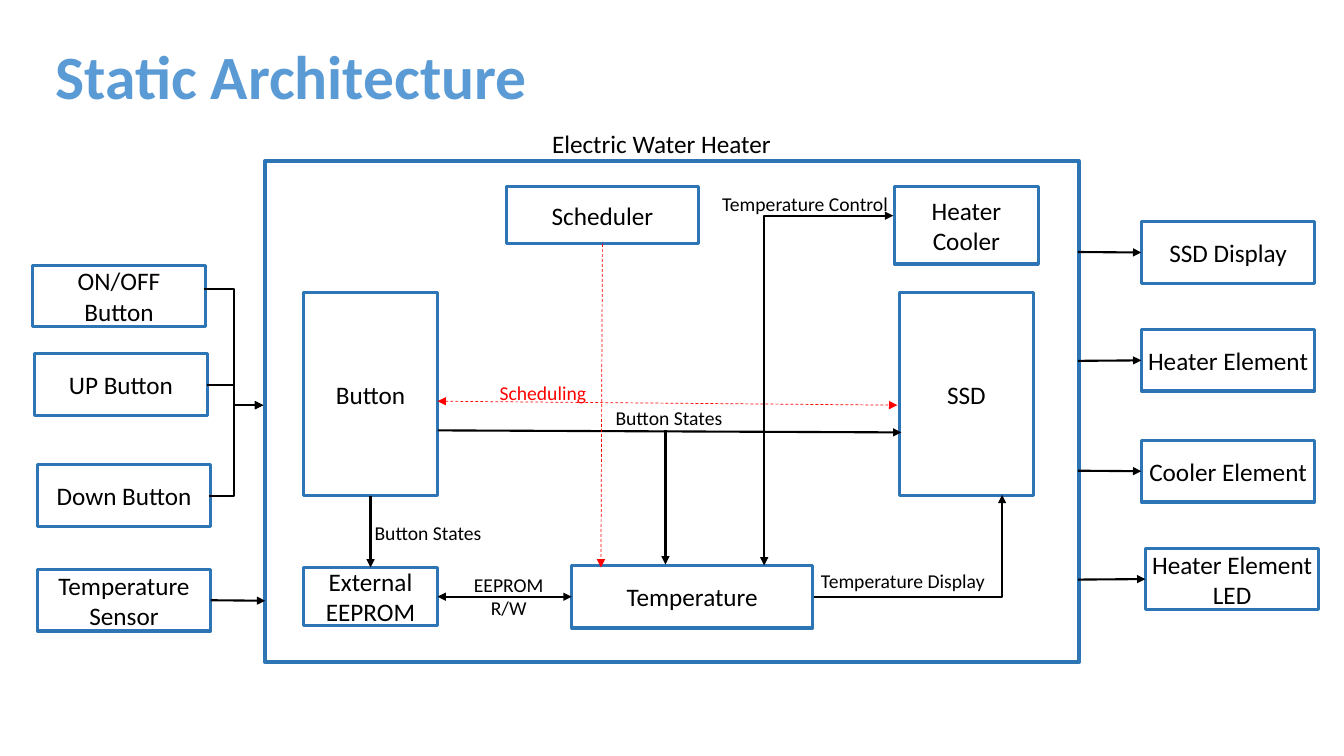
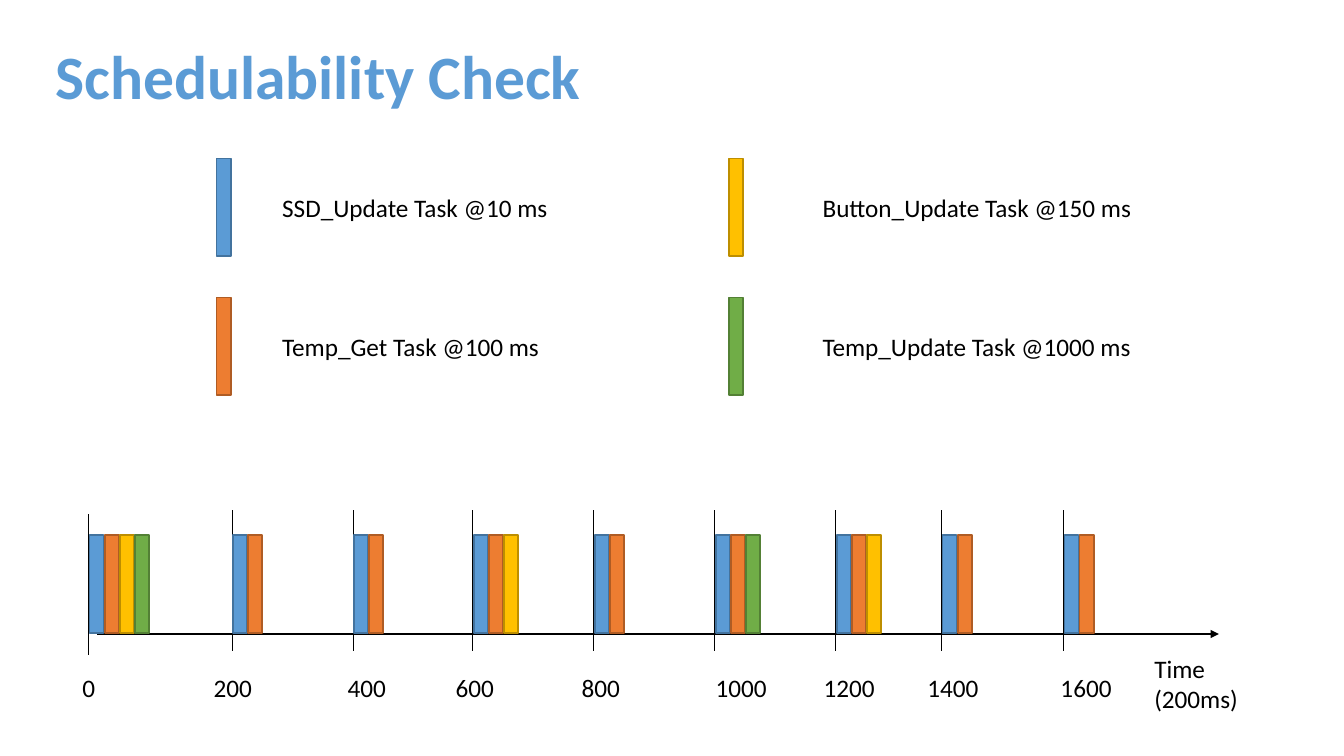
from dataclasses import dataclass

from lxml.etree import SubElement
from pptx import Presentation
from pptx.dml.color import RGBColor
from pptx.enum.dml import MSO_LINE
from pptx.enum.shapes import MSO_CONNECTOR, MSO_SHAPE
from pptx.enum.text import MSO_ANCHOR, PP_ALIGN
from pptx.oxml.ns import qn
from pptx.util import Pt

PX = 9144  # EMU, 100 px to the inch


@dataclass(frozen=True)
class Theme:
    font: str = "Calibri"
    title: str = "5B9BD5"
    outline: str = "2E75B6"
    ink: str = "000000"
    schedule: str = "FF0000"
    title_size: int = 44
    body_size: int = 18
    label_size: int = 14


THEME = Theme()

# Slide 1: name -> (left, top, width, height, lines)
HEATER = (263, 160, 807, 497)
INPUTS = {
    "on_off": (32, 263, 172, 61, ["ON/OFF Button"]),
    "up": (37, 351 + 0, 168, 61, ["UP Button"]),
    "down": (37, 461, 172, 61, ["Down Button"]),
    "sensor": (37, 565, 172, 61, ["Temperature Sensor"]),
}
INPUTS["up"] = (34, 351, 172, 61, ["UP Button"])
MODULES = {
    "button": (301, 290, 133, 202, ["Button"]),
    "temperature": (567, 561, 239, 62, ["Temperature"]),
    "cooler": (887, 185, 143, 77, ["Heater", "Cooler"]),
    "ssd": (892, 290, 133, 202, ["SSD"]),
    "scheduler": (502, 185, 191, 57, ["Scheduler"]),
    "eeprom": (301, 563, 133, 58, ["External", "EEPROM"]),
}
OUTPUTS = {
    "display": (1132, 220, 172, 61, ["SSD Display"]),
    "element": (1132, 327, 172, 61, ["Heater Element"]),
    "cooler_element": (1132, 437, 172, 61, ["Cooler Element"]),
    "led": (1136, 544, 172, 61, ["Heater Element", "LED"]),
}
INPUT_INSET = 16

# An end is a point, or (box name, side) with 0 top, 1 left, 2 bottom, 3 right
DATA_LINKS = [  # begin, end, two-way
    ((434, 427), (894, 429), False),
    (("eeprom", 3), ("temperature", 1), True),
    ((660, 427), (660, 560), False),
    (("button", 2), ("eeprom", 0), False),
    (("sensor", 3), (263, 596), False),
    ((1069, 250), ("display", 1), False),
    ((1069, 358), ("element", 1), False),
    ((1069, 467), ("cooler_element", 1), False),
    ((1069, 575), ("led", 1), False),
]
SCHEDULE_LINKS = [
    (("scheduler", 2), (596, 563), False),
    ((434, 398), (890, 402), True),
]
BENT_LINKS = [  # begin, end, x of the upright part, two-way
    ((807, 592), (994, 491), 994, False),
    ((886, 214), (758, 561), 758, True),
    ((202, 287), (261, 402), 232, False),
    ((205, 382), (261, 402), 232, False),
    ((207, 492), (261, 402), 232, False),
]
LINK_LABELS = [  # left, top, lines, colour
    (443, 373, ["Scheduling"], THEME.schedule),
    (568, 398, ["Button States"], THEME.ink),
    (703, 185, ["Temperature Control"], THEME.ink),
    (800, 559, ["Temperature Display"], THEME.ink),
    (409, 563, ["EEPROM", "R/W"], THEME.ink),
    (329, 512, ["Button States"], THEME.ink),
]

# Slide 2: task -> (fill, outline, legend text), legend filled row by row
TASKS = {
    "ssd": ("5B9BD5", "43739E", "SSD_Update Task @10 ms"),
    "button": ("FFC000", "BD8E00", "Button_Update Task @150 ms"),
    "get": ("ED7D31", "AF5C24", "Temp_Get Task @100 ms"),
    "update": ("70AD47", "538035", "Temp_Update Task @1000 ms"),
}
LEGEND_COLUMNS = [(215, 270), (723, 806)]  # bar left, text left
LEGEND_TOP, LEGEND_PITCH = 157, 138
BAR_WIDTH, BAR_HEIGHT, BAR_PITCH = 14, 97, 15
BAR_TOP, AXIS_Y = 531, 629
TICKS = [  # time, tick x, tick top, label left, tasks
    (0, 88, 510, 72, ["ssd", "get", "button", "update"]),
    (200, 230, 506, 202, ["ssd", "get"]),
    (400, 350, 506, 335, ["ssd", "get"]),
    (600, 469, 506, 442, ["ssd", "get", "button"]),
    (800, 589, 506, 567, ["ssd", "get"]),
    (1000, 709, 506, 700, ["ssd", "get", "update"]),
    (1200, 829, 506, 807, ["ssd", "get", "button"]),
    (1400, 934, 506, 910, ["ssd", "get"]),
    (1600, 1055, 506, 1042, ["ssd", "get"]),
]
TICK_HEIGHT = 140


def rgb(value):
    return RGBColor.from_string(value)


def write(frame, lines, size, color=THEME.ink, align=PP_ALIGN.CENTER, bold=None):
    frame.word_wrap = True
    for number, line in enumerate(lines):
        paragraph = frame.paragraphs[0] if number == 0 else frame.add_paragraph()
        paragraph.text = line
        paragraph.alignment = align
        font = paragraph.font
        font.name, font.size, font.bold = THEME.font, Pt(size), bold
        font.color.rgb = rgb(color)


def add_text(slide, left, top, width, height, lines, size, **style):
    box = slide.shapes.add_textbox(left * PX, top * PX, width * PX, height * PX)
    write(box.text_frame, lines, size, **style)
    return box.text_frame


def add_title(slide, title):
    frame = add_text(slide, 0, 17, 1216, 102, [title], THEME.title_size,
                     color=THEME.title, align=PP_ALIGN.LEFT, bold=True)
    frame.vertical_anchor = MSO_ANCHOR.BOTTOM
    frame.margin_left = 55 * PX
    frame.margin_bottom = 7 * PX
    frame.paragraphs[0].line_spacing = 0.9


def add_rectangle(slide, left, top, width, height, outline, weight, fill=None):
    rectangle = slide.shapes.add_shape(
        MSO_SHAPE.RECTANGLE, left * PX, top * PX, width * PX, height * PX)
    rectangle.shadow.inherit = False
    if fill:
        rectangle.fill.solid()
        rectangle.fill.fore_color.rgb = rgb(fill)
    else:
        rectangle.fill.background()
    rectangle.line.color.rgb = rgb(outline)
    rectangle.line.width = Pt(weight)
    return rectangle


def add_block(slide, left, top, width, height, lines, inset=0):
    """Outlined rectangle with a centred caption."""
    block = add_rectangle(slide, left, top, width, height, THEME.outline, 2.25)
    frame = block.text_frame
    frame.margin_left = frame.margin_right = inset * PX
    frame.margin_top = frame.margin_bottom = 0
    frame.vertical_anchor = MSO_ANCHOR.MIDDLE
    write(frame, lines, THEME.body_size)
    return block


def add_line(slide, begin, end, weight, color=THEME.ink, arrows=(),
             kind=MSO_CONNECTOR.STRAIGHT):
    connector = slide.shapes.add_connector(
        kind, *(round(value * PX) for value in (*begin, *end)))
    connector.line.color.rgb = rgb(color)
    connector.line.width = Pt(weight)
    properties = connector.element.spPr
    for arrow in arrows:
        SubElement(properties.find(qn("a:ln")), qn(f"a:{arrow}"), type="triangle")
    SubElement(properties, qn("a:effectLst"))
    return connector


def arrow_ends(two_way):
    return ("headEnd", "tailEnd") if two_way else ("tailEnd",)


def add_link(slide, blocks, begin, end, two_way, weight, color=THEME.ink):
    """Straight arrow, joined to a block wherever an end names one."""
    start, stop = ((0, 0) if isinstance(point[0], str) else point
                   for point in (begin, end))
    link = add_line(slide, start, stop, weight, color, arrow_ends(two_way))
    if isinstance(begin[0], str):
        link.begin_connect(blocks[begin[0]], begin[1])
    if isinstance(end[0], str):
        link.end_connect(blocks[end[0]], end[1])
    return link


def add_bent_link(slide, begin, end, bend_x, two_way):
    link = add_line(slide, begin, end, 1.5, arrows=arrow_ends(two_way),
                    kind=MSO_CONNECTOR.ELBOW)
    bend = round(100000 * (bend_x - begin[0]) / (end[0] - begin[0]))
    guides = link.element.spPr.find(qn("a:prstGeom")).find(qn("a:avLst"))
    SubElement(guides, qn("a:gd"), name="adj1", fmla=f"val {bend}")


def build_architecture(slide):
    add_title(slide, "Static Architecture")
    add_rectangle(slide, *HEATER, THEME.outline, 3)
    add_text(slide, 514, 122, 284, 40, ["Electric Water Heater"], THEME.body_size)
    blocks = {name: add_block(slide, *block, inset=INPUT_INSET)
              for name, block in INPUTS.items()}
    for name, block in (MODULES | OUTPUTS).items():
        blocks[name] = add_block(slide, *block)
    for link in DATA_LINKS:
        add_link(slide, blocks, *link, 1.5)
    for link in SCHEDULE_LINKS:
        arrow = add_link(slide, blocks, *link, 0.5, THEME.schedule)
        arrow.line.dash_style = MSO_LINE.DASH
    for link in BENT_LINKS:
        add_bent_link(slide, *link)
    for left, top, lines, color in LINK_LABELS:
        add_text(slide, left, top, 191, 11 + 23 * len(lines), lines,
                 THEME.label_size, color=color)


def add_task_bar(slide, left, top, task):
    fill, outline, _ = TASKS[task]
    add_rectangle(slide, left, top, BAR_WIDTH, BAR_HEIGHT, outline, 1, fill)


def build_schedule(slide):
    add_title(slide, "Schedulability Check")
    body = {"size": THEME.body_size, "align": PP_ALIGN.LEFT}
    for number, (task, (_, _, caption)) in enumerate(TASKS.items()):
        row, column = divmod(number, len(LEGEND_COLUMNS))
        bar_left, text_left = LEGEND_COLUMNS[column]
        top = LEGEND_TOP + row * LEGEND_PITCH
        add_task_bar(slide, bar_left, top, task)
        add_text(slide, text_left, top + 29, 355, 40, [caption], **body)
    add_line(slide, (96, AXIS_Y), (1209, AXIS_Y), 1, arrows=arrow_ends(False))
    for time, x, top, label_left, tasks in TICKS:
        add_line(slide, (x, top), (x, top + TICK_HEIGHT), 0.5)
        for number, task in enumerate(tasks):
            add_task_bar(slide, x + 1 + number * BAR_PITCH, BAR_TOP, task)
        add_text(slide, label_left, 662, 80, 40, [str(time)], **body)
    add_text(slide, 1135, 643, 175, 71, ["Time", "(200ms)"], **body)


def main():
    deck = Presentation()
    deck.slide_width, deck.slide_height = 1333 * PX, 750 * PX
    blank = deck.slide_layouts[6]
    for build in (build_architecture, build_schedule):
        build(deck.slides.add_slide(blank))
    deck.save("out.pptx")


if __name__ == "__main__":
    main()
